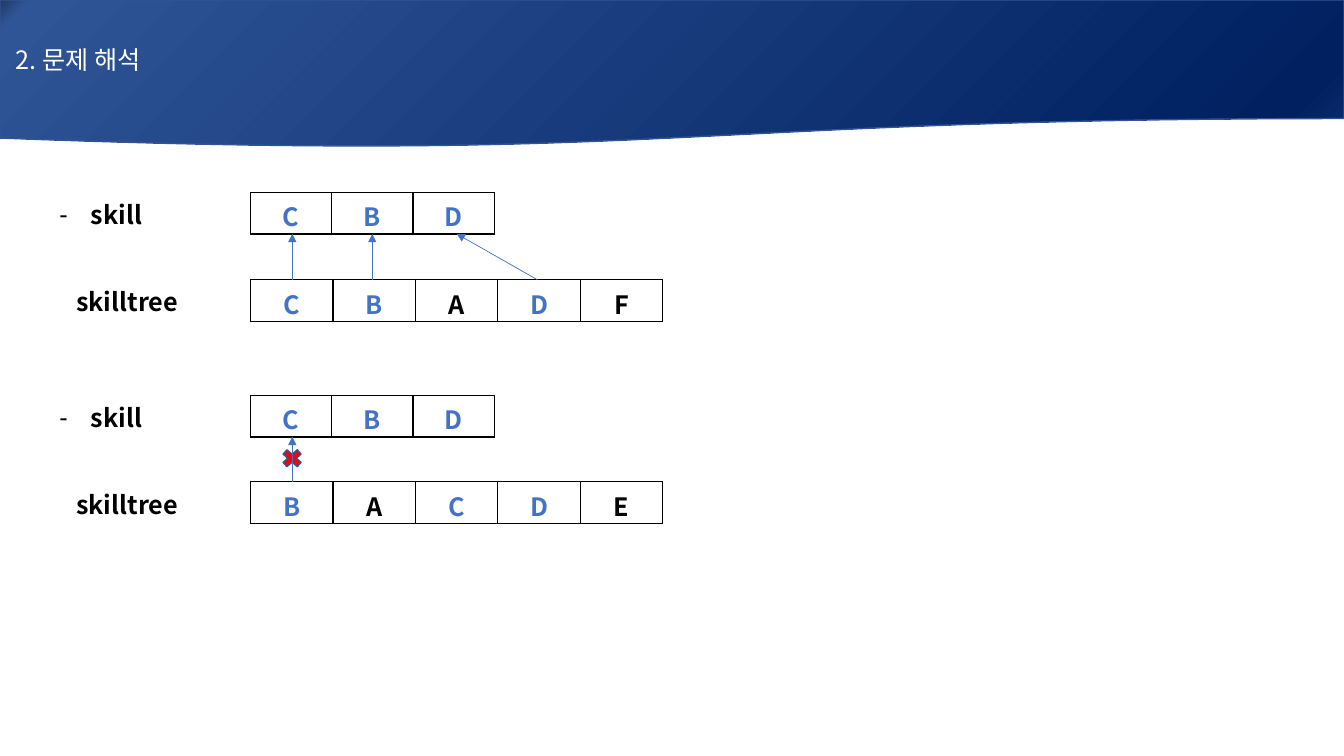
from dataclasses import dataclass

from lxml import etree
from pptx import Presentation, util as u
from pptx.dml.color import RGBColor
from pptx.enum import shapes, text
from pptx.oxml.ns import qn

FONT = "Noto Sans CJK KR"
BLACK, WHITE, BLUE, OUTLINE = "000000", "FFFFFF", "4472C4", "325491"
BANNER_STOPS = [(0, "203864"), (2, "2F5597"), (94, "002060"), (100, "0D2E6F")]
LABEL_LEFT, ROW_LEFT, ROW_HEIGHT = 35.3, 179, 29.5
SKILL_CELL, TREE_CELL = 58, 58.9
SKILL = "CBD"


@dataclass
class Example:
    label_top: float
    skill_top: float
    tree_top: float
    tree: str
    matched: str
    arrows: list[tuple[float, float]]


EXAMPLES = [
    Example(137.5, 137.5, 199.8, "CBADF", "CBD",
            [(208.8, 208.8), (265.9, 265.9), (383.8, 326.2)]),
    Example(282.2, 282.5, 344.2, "BACDE", "BCD", [(208.8, 208.8)]),
]


def paint(target, colour: str) -> None:
    target.solid()
    target.fore_color.rgb = RGBColor.from_string(colour)


def add_child(parent, tag: str, **attributes: str):
    return etree.SubElement(parent, qn(tag), attributes)


def write(paragraph, wording: str, *, colour: str = BLACK, bold: bool = True,
          align=text.PP_ALIGN.CENTER, left: float = 0, hang: float = 0,
          bullet: str = "", spacing: float = 1.0, after: float = 0) -> None:
    properties = paragraph._p.get_or_add_pPr()
    properties.set("marL", str(u.Pt(left)))
    properties.set("indent", str(-u.Pt(hang)))
    paragraph.alignment = align
    paragraph.line_spacing = spacing
    paragraph.space_before = u.Pt(0)
    paragraph.space_after = u.Pt(after)
    if bullet:
        add_child(properties, "a:buChar", char=bullet)
    else:
        add_child(properties, "a:buNone")
    run = paragraph.add_run()
    run.text = wording
    run.font.name, run.font.size, run.font.bold = FONT, u.Pt(18), bold
    run.font.color.rgb = RGBColor.from_string(colour)
    add_child(run._r.get_or_add_rPr(), "a:ea", typeface=FONT)


def place(placeholder, left: float, top: float, width: float, height: float, anchor):
    placeholder.left, placeholder.top = u.Pt(left), u.Pt(top)
    placeholder.width, placeholder.height = u.Pt(width), u.Pt(height)
    frame = placeholder.text_frame
    frame.word_wrap = True
    frame.auto_size = text.MSO_AUTO_SIZE.NONE
    frame.vertical_anchor = anchor
    return frame


def add_outlined(slide, kind, left: float, top: float, width: float, height: float):
    shape = slide.shapes.add_shape(kind, u.Pt(left), u.Pt(top), u.Pt(width), u.Pt(height))
    shape.shadow.inherit = False
    paint(shape.line.fill, OUTLINE)
    shape.line.width = u.Pt(1)
    return shape


def add_banner(slide) -> None:
    banner = add_outlined(slide, shapes.MSO_SHAPE.FLOWCHART_DOCUMENT, 0, 0, 960, 105.6)
    banner.fill.gradient()
    gradient = banner._element.spPr.find(qn("a:gradFill"))
    for part in list(gradient):
        gradient.remove(part)
    stops = add_child(gradient, "a:gsLst")
    for position, colour in BANNER_STOPS:
        stop = add_child(stops, "a:gs", pos=str(position * 1000))
        add_child(stop, "a:srgbClr", val=colour)
    add_child(gradient, "a:lin", ang=str(45 * 60000), scaled="0")
    slide.shapes._spTree.insert(2, banner._element)


def add_letters(slide, letters: str, matched: str, top: float, cell_width: float) -> None:
    table = slide.shapes.add_table(1, len(letters), u.Pt(ROW_LEFT), u.Pt(top),
                                   u.Pt(cell_width * len(letters)), u.Pt(ROW_HEIGHT)).table
    table.first_row = table.horz_banding = False
    for column, letter in enumerate(letters):
        table.columns[column].width = u.Pt(cell_width)
        cell = table.cell(0, column)
        cell.margin_bottom = u.Pt(0)
        write(cell.text_frame.paragraphs[0], letter,
              colour=BLUE if letter in matched else BLACK)
        properties = cell._tc.get_or_add_tcPr()
        for side in ("a:lnL", "a:lnR", "a:lnT", "a:lnB"):
            border = add_child(properties, side, w=str(u.Pt(1)))
            add_child(add_child(border, "a:solidFill"), "a:srgbClr", val=BLACK)
        cell.fill.background()


def add_arrow(slide, start_x: float, start_y: float, end_x: float, end_y: float) -> None:
    arrow = slide.shapes.add_connector(shapes.MSO_CONNECTOR.STRAIGHT, u.Pt(start_x),
                                       u.Pt(start_y), u.Pt(end_x), u.Pt(end_y))
    paint(arrow.line.fill, BLUE)
    arrow.line.width = u.Pt(0.5)
    add_child(arrow.line._get_or_add_ln(), "a:tailEnd", type="triangle")
    add_child(arrow._element.spPr, "a:effectLst")


def add_example(slide, labels, example: Example) -> None:
    frame = place(labels, LABEL_LEFT, example.label_top, 924.5, 91.4, text.MSO_ANCHOR.TOP)
    write(frame.paragraphs[0], "skill", align=text.PP_ALIGN.JUSTIFY, left=22.5,
          hang=22.5, bullet="-", spacing=1.07, after=39)
    write(frame.add_paragraph(), "skilltree", align=text.PP_ALIGN.JUSTIFY,
          left=12, spacing=1.07)
    add_letters(slide, SKILL, SKILL, example.skill_top, SKILL_CELL)
    add_letters(slide, example.tree, example.matched, example.tree_top, TREE_CELL)


def main() -> None:
    deck = Presentation()
    deck.slide_width, deck.slide_height = u.Pt(960), u.Pt(540)
    slide = deck.slides.add_slide(deck.slide_layouts[3])
    title, *label_lists = slide.placeholders
    add_banner(slide)
    heading = place(title, 0, 0, 960, 85, text.MSO_ANCHOR.MIDDLE)
    write(heading.paragraphs[0], "2. 문제 해석", colour=WHITE, bold=False,
          align=text.PP_ALIGN.LEFT, left=4.2)
    for labels, example in zip(label_lists, EXAMPLES):
        add_example(slide, labels, example)
    mismatch = add_outlined(slide, shapes.MSO_SHAPE.MATH_MULTIPLY, 199, 318.7, 19.4, 17.3)
    paint(mismatch.fill, "FF0000")
    for example in EXAMPLES:
        for start_x, end_x in example.arrows:
            add_arrow(slide, start_x, example.tree_top,
                      end_x, example.skill_top + ROW_HEIGHT)
    deck.save("out.pptx")


if __name__ == "__main__":
    main()
